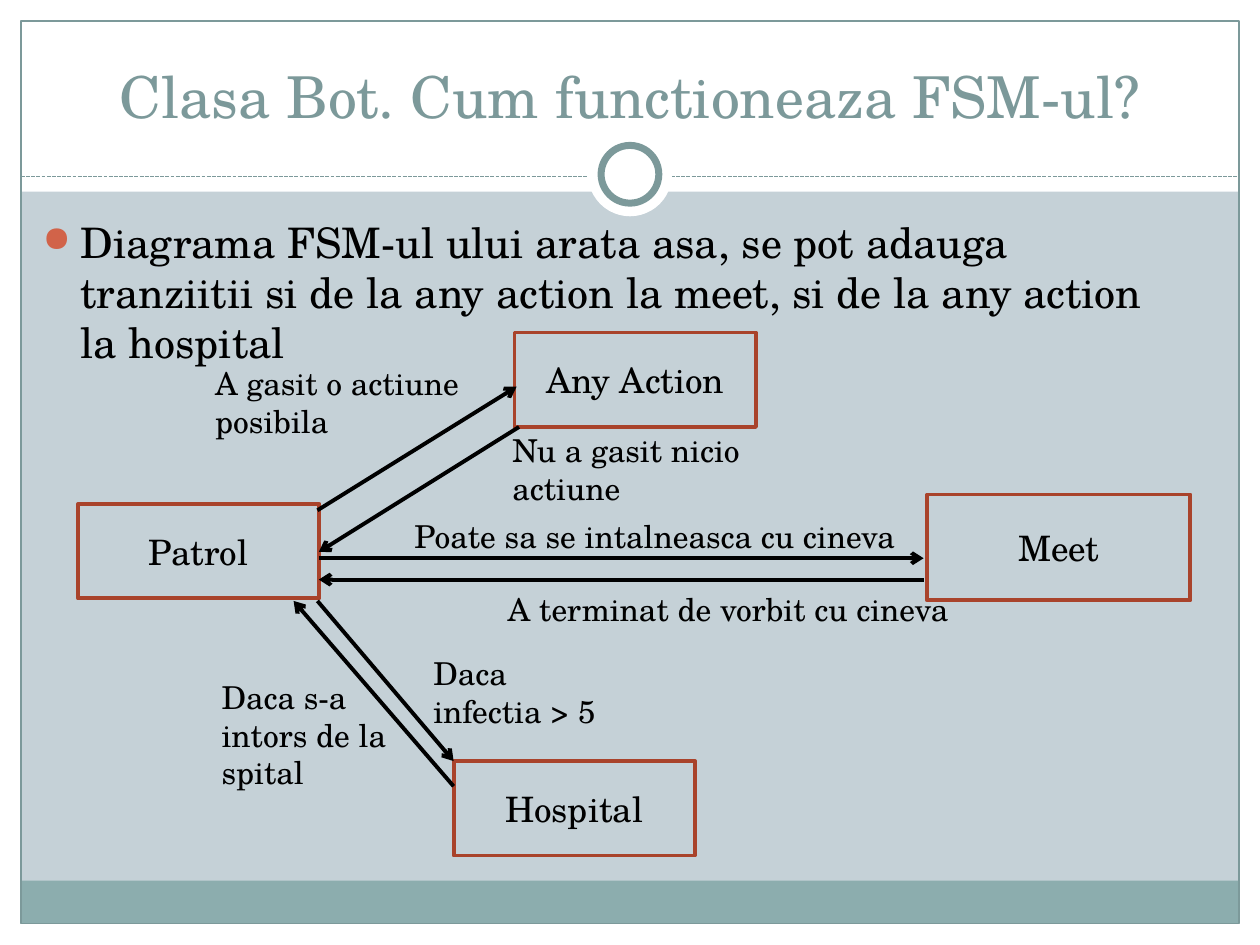
"""Build a slide that shows the state machine of the Bot class."""
import dataclasses

import lxml.etree
import pptx
import pptx.dml.color
import pptx.enum.dml
import pptx.enum.shapes
import pptx.enum.text
import pptx.oxml.ns
import pptx.util

Pt = pptx.util.Pt
qn = pptx.oxml.ns.qn
Shape = pptx.enum.shapes.MSO_SHAPE
Align = pptx.enum.text.PP_ALIGN
Anchor = pptx.enum.text.MSO_ANCHOR


@dataclasses.dataclass(frozen=True)
class Theme:
    font: str = "TeX Gyre Schola"
    background: str = "C5D1D7"
    white: str = "FFFFFF"
    ink: str = "000000"
    teal: str = "7C999A"
    footer: str = "8CADAE"
    border: str = "A9432B"
    bullet: str = "D16349"
    title_size: float = 33
    body_size: float = 24
    state_size: float = 20
    label_size: float = 18
    hairline: float = 0.75
    stroke: float = 2.25
    ring: float = 4


def rgb(color):
    return pptx.dml.color.RGBColor.from_string(color)


class Deck:
    def __init__(self, slide, theme):
        self.s = slide
        self.theme = theme
        fill = slide.background.fill
        fill.solid()
        fill.fore_color.rgb = rgb(theme.background)

    def shape(self, box, fill=None, line=None, width=0, kind=Shape.RECTANGLE):
        sp = self.s.shapes.add_shape(kind, *map(Pt, box))
        sp.shadow.inherit = False
        if fill:
            sp.fill.solid()
            sp.fill.fore_color.rgb = rgb(fill)
        else:
            sp.fill.background()
        if line:
            sp.line.color.rgb = rgb(line)
            sp.line.width = Pt(width)
        else:
            sp.line.fill.background()
        return sp

    def set_text(self, sp, text, size, color, align=Align.LEFT, anchor=Anchor.TOP):
        tf = sp.text_frame
        tf.word_wrap = True
        tf.vertical_anchor = anchor
        tf.text = text
        p = tf.paragraphs[0]
        p.alignment = align
        font = p.runs[0].font
        font.name = self.theme.font
        font.size = Pt(size)
        font.color.rgb = rgb(color)
        return p

    def text(self, box, text, size, color, **layout):
        sp = self.s.shapes.add_textbox(*map(Pt, box))
        return self.set_text(sp, text, size, color, **layout)

    def title(self, box, text):
        self.text(box, text, self.theme.title_size, self.theme.teal,
                  align=Align.CENTER, anchor=Anchor.BOTTOM)

    def bullet(self, box, text):
        p = self.text(box, text, self.theme.body_size, self.theme.ink)
        p.space_before = Pt(4.8)
        pPr = p._p.get_or_add_pPr()
        indent = Pt(21.6)
        pPr.set("marL", str(indent))
        pPr.set("indent", str(-indent))
        color = lxml.etree.SubElement(pPr, qn("a:buClr"))
        lxml.etree.SubElement(color, qn("a:srgbClr"), val=self.theme.bullet)
        lxml.etree.SubElement(pPr, qn("a:buSzPct"), val="85000")
        lxml.etree.SubElement(pPr, qn("a:buChar"), char="●")

    def state(self, box, text):
        t = self.theme
        sp = self.shape(box, t.background, t.border, t.stroke)
        self.set_text(sp, text, t.state_size, t.ink, Align.CENTER, Anchor.MIDDLE)

    def label(self, box, text):
        self.text(box, text, self.theme.label_size, self.theme.ink)

    def line(self, ends, color, width):
        sp = self.s.shapes.add_connector(
            pptx.enum.shapes.MSO_CONNECTOR.STRAIGHT, *map(Pt, ends))
        sp.line.color.rgb = rgb(color)
        sp.line.width = Pt(width)
        lxml.etree.SubElement(sp._element.spPr, qn("a:effectLst"))
        return sp

    def arrow(self, ends):
        sp = self.line(ends, self.theme.ink, self.theme.stroke)
        ln = sp._element.spPr.find(qn("a:ln"))
        lxml.etree.SubElement(ln, qn("a:tailEnd"), type="arrow")

    def frame(self):
        t = self.theme
        for box in ((0, 528, 720, 12), (0, 0, 720, 109.5),
                    (0, 0, 12, 540), (708, 0, 12, 540)):
            self.shape(box, t.white)
        self.shape((11.75, 503.25, 695.75, 24.5), t.footer)
        self.shape((12, 12, 696, 515.75), None, t.teal, t.hairline)
        rule = self.line((12, 100.8, 708, 100.8), t.teal, t.hairline)
        rule.line.dash_style = pptx.enum.dml.MSO_LINE.SQUARE_DOT
        self.shape((336, 75.6, 48, 48), t.white, kind=Shape.OVAL)
        self.shape((343.5, 83.1, 33, 33), t.white, t.teal, t.ring, Shape.OVAL)


def main():
    prs = pptx.Presentation()
    prs.slide_width, prs.slide_height = Pt(720), Pt(540)
    deck = Deck(prs.slides.add_slide(prs.slide_layouts[6]), Theme())
    deck.frame()
    deck.title((24, 18, 672, 60), "Clasa Bot. Cum functioneaza FSM-ul?")
    deck.bullet((17.3, 120, 669.6, 360),
                "Diagrama FSM-ul ului arata asa, se pot adauga tranziitii si de la "
                "any action la meet, si de la any action la hospital")

    for text, box in (
        ("Any Action", (294, 190, 138, 54)),
        ("Hospital", (259.2, 434.9, 138, 54)),
        ("Patrol", (44.6, 288, 138, 54)),
        ("Meet", (529.7, 282.6, 150.5, 60.5)),
    ):
        deck.state(box, text)

    for ends in (
        (296.6, 244, 182.2, 315.4),
        (182.2, 319, 527.8, 319),
        (527.8, 331.2, 182.2, 331.2),
        (181.4, 343.4, 259.2, 434.9),
        (181.4, 291.6, 295.2, 221),
        (259.2, 449.3, 167.8, 343.4),
    ):
        deck.arrow(ends)

    for text, box in (
        ("A gasit o actiune posibila", (115.9, 204.5, 167.8, 94.3)),
        ("Nu a gasit nicio actiune", (285.8, 242.6, 167.8, 94.3)),
        ("Poate sa se intalneasca cu cineva", (229.7, 291.6, 330.5, 72.7)),
        ("A terminat de vorbit cu cineva", (283, 333.4, 330.5, 72.7)),
        ("Daca infectia > 5", (240.5, 370, 107.3, 94.3)),
        ("Daca s-a intors de la spital", (119.5, 383.8, 126, 116.6)),
    ):
        deck.label(box, text)

    prs.save("out.pptx")


if __name__ == "__main__":
    main()
